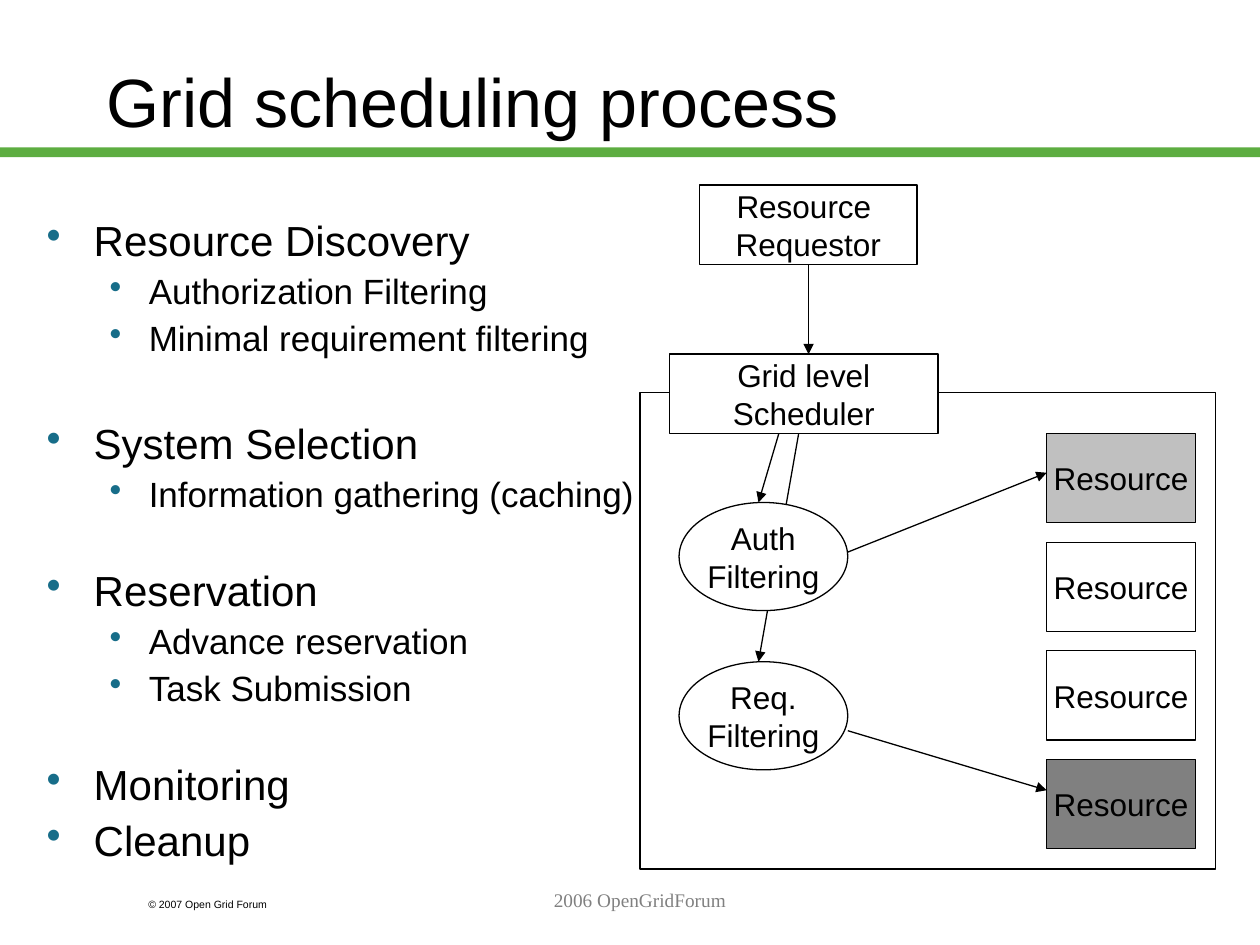
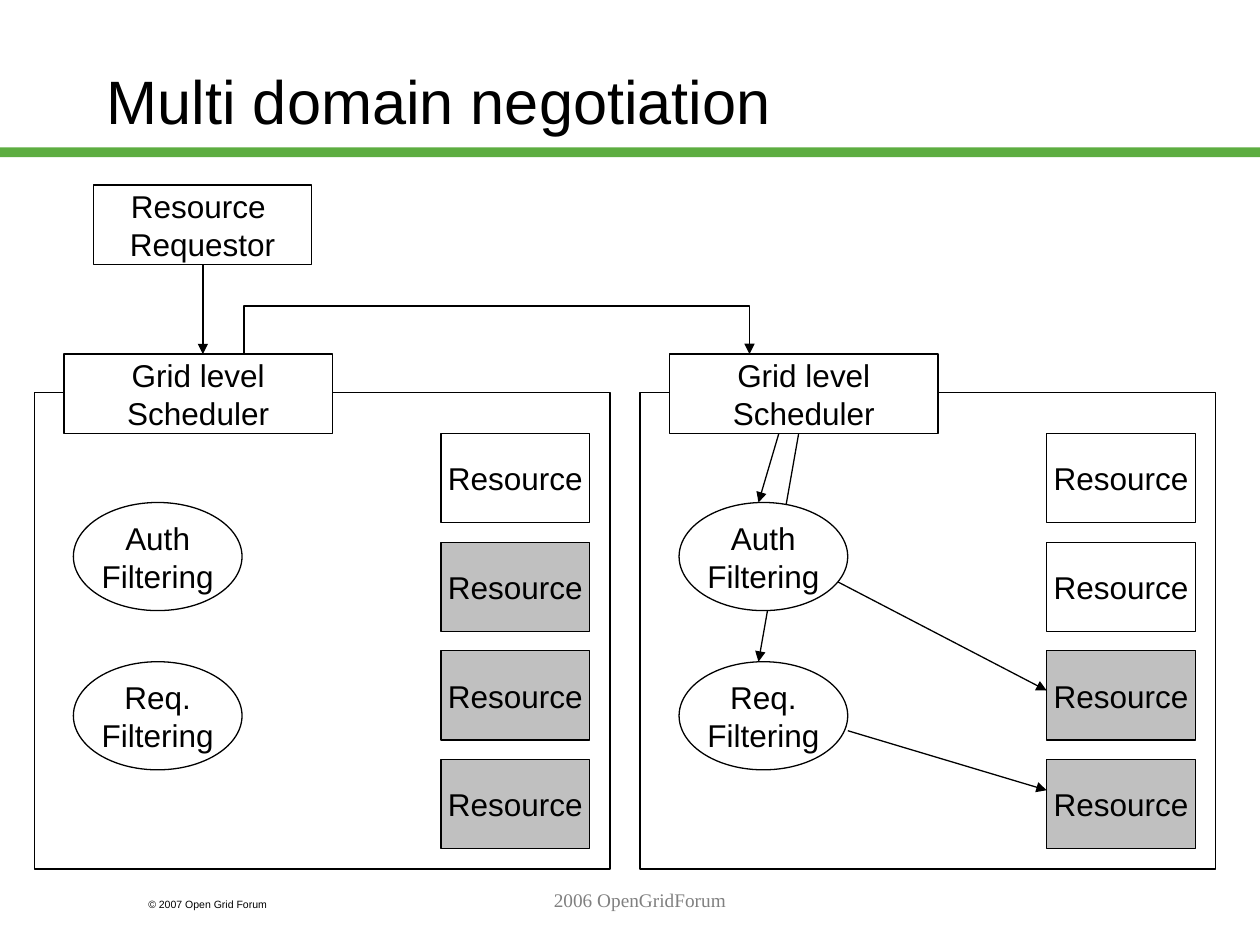
"""Builds two slides on grid scheduling and negotiation between domains."""
from lxml import etree
from pptx import Presentation
from pptx.dml.color import RGBColor
from pptx.enum.shapes import MSO_CONNECTOR, MSO_SHAPE
from pptx.enum.text import MSO_ANCHOR, PP_ALIGN
from pptx.oxml.ns import qn
from pptx.util import Cm, Pt

BLACK = RGBColor(0x00, 0x00, 0x00)
WHITE = RGBColor(0xFF, 0xFF, 0xFF)
SILVER = RGBColor(0xC0, 0xC0, 0xC0)
GRAY = RGBColor(0x80, 0x80, 0x80)
GREEN = RGBColor(0x5D, 0xAD, 0x41)
TEAL = RGBColor(0x17, 0x6D, 0x89)

RECT, OVAL = MSO_SHAPE.RECTANGLE, MSO_SHAPE.OVAL
STRAIGHT = MSO_CONNECTOR.STRAIGHT
LEFT, CENTER = PP_ALIGN.LEFT, PP_ALIGN.CENTER
TOP, MIDDLE = MSO_ANCHOR.TOP, MSO_ANCHOR.MIDDLE

LEFT_DOMAIN, RIGHT_DOMAIN = 0.69, 12.9
REQUESTOR_Y, SCHEDULER_Y, FRAME_Y = 3.73, 7.14, 7.92
BOX_H = 1.6
SCHEDULER_BOTTOM = SCHEDULER_Y + BOX_H
AUTH_Y, REQ_Y = 10.13, 13.34
RESOURCE_X, RESOURCE_PITCH = 8.2, 2.19

LEVELS = [(24, 0.95, -0.95), (20, 2.06, -0.79)]
STEPS = [
    (0, 0, "Resource Discovery"),
    (1, 5, "Authorization Filtering"),
    (1, 5, "Minimal requirement filtering"),
    (0, 36.8, "System Selection"),
    (1, 5, "Information gathering (caching)"),
    (0, 31.7, "Reservation"),
    (1, 5, "Advance reservation"),
    (1, 5, "Task Submission"),
    (0, 31.7, "Monitoring"),
    (0, 6, "Cleanup"),
]


class Deck:
    """Holds the shared style and the current slide."""

    def __init__(self):
        self.prs = Presentation()
        self.prs.slide_width, self.prs.slide_height = Cm(25.4), Cm(19.05)
        self.s = None

    def new_slide(self, title, size):
        self.s = self.prs.slides.add_slide(self.prs.slide_layouts[6])
        band = self.shape(RECT, 0, 2.97, 25.4, 0.2, fill=GREEN)
        band.line.fill.background()
        self.text("© 2007 Open Grid Forum", 2.74, 17.98, 3.81, 0.51, 6)
        self.text("2006 OpenGridForum", 5.5, 17.78, 14.8, 1.27, 11,
                  "Times New Roman", GRAY, CENTER)
        self.text(title, 1.9, 0.43, 21.6, 3.18, size, anchor=MIDDLE)

    def fill_text(self, tf, text, size, font="Arial", color=BLACK, align=LEFT):
        tf.text = text
        for p in tf.paragraphs:
            p.alignment = align
            p.font.size, p.font.name = Pt(size), font
            p.font.color.rgb = color

    def text(self, text, x, y, w, h, size, font="Arial", color=BLACK,
             align=LEFT, anchor=TOP):
        tf = self.s.shapes.add_textbox(Cm(x), Cm(y), Cm(w), Cm(h)).text_frame
        tf.word_wrap, tf.vertical_anchor = True, anchor
        self.fill_text(tf, text, size, font, color, align)
        return tf

    def bullets(self, items, x, y, w, h):
        tf = self.text("\n".join(text for *_, text in items), x, y, w, h, 24)
        for p, (level, gap, _) in zip(tf.paragraphs, items):
            size, margin, indent = LEVELS[level]
            p.level, p.line_spacing, p.space_before = level, 0.9, Pt(gap)
            p.font.size = Pt(size)
            pPr = p._p.get_or_add_pPr()
            pPr.set("marL", str(Cm(margin)))
            pPr.set("indent", str(Cm(indent)))
            color = etree.Element(qn("a:buClr"))
            etree.SubElement(color, qn("a:srgbClr"), val=str(TEAL))
            char = etree.Element(qn("a:buChar"), char="•")
            pPr.find(qn("a:defRPr")).addprevious(color)
            color.addnext(char)

    def outline(self, sp):
        sp.line.color.rgb, sp.line.width = BLACK, Pt(0.75)

    def arrowhead(self, sp):
        etree.SubElement(sp.line._get_or_add_ln(), qn("a:tailEnd"), type="triangle")

    def shape(self, kind, x, y, w, h, text="", fill=WHITE):
        sp = self.s.shapes.add_shape(kind, Cm(x), Cm(y), Cm(w), Cm(h))
        sp.shadow.inherit = False
        sp.fill.solid()
        sp.fill.fore_color.rgb = fill
        self.outline(sp)
        if text:
            tf = sp.text_frame
            tf.word_wrap, tf.vertical_anchor = False, MIDDLE
            self.fill_text(tf, text, 18, align=CENTER)
        return sp

    def arrow(self, x1, y1, x2, y2):
        sp = self.s.shapes.add_connector(STRAIGHT, Cm(x1), Cm(y1), Cm(x2), Cm(y2))
        self.outline(sp)
        self.arrowhead(sp)
        etree.SubElement(sp._element.spPr, qn("a:effectLst"))

    def path_arrow(self, points):
        start, *rest = [(Cm(x), Cm(y)) for x, y in points]
        builder = self.s.shapes.build_freeform(*start)
        builder.add_line_segments(rest, close=False)
        sp = builder.convert_to_shape()
        sp.shadow.inherit = False
        sp.fill.background()
        self.outline(sp)
        self.arrowhead(sp)

    def requestor(self, x):
        self.shape(RECT, x + 1.2, REQUESTOR_Y, 4.39, BOX_H, "Resource \nRequestor")
        self.arrow(x + 3.4, REQUESTOR_Y + BOX_H, x + 3.4, SCHEDULER_Y)

    def domain(self, x, fills, links=()):
        self.shape(RECT, x, FRAME_Y, 11.61, 9.6)
        self.shape(RECT, x + 0.6, SCHEDULER_Y, 5.41, BOX_H, "Grid level\nScheduler")
        for i, fill in enumerate(fills):
            self.shape(RECT, x + RESOURCE_X, SCHEDULER_BOTTOM + i * RESOURCE_PITCH,
                       3, 1.8, "Resource", fill)
        self.shape(OVAL, x + 0.79, REQ_Y, 3.4, 2.18, "Req.\nFiltering")
        for x1, y1, x2, y2 in links:
            self.arrow(x + x1, y1, x + x2, y2)
        self.shape(OVAL, x + 0.79, AUTH_Y, 3.4, 2.18, "Auth\nFiltering")


def main():
    deck = Deck()
    common_links = [
        (4.19, 14.73, RESOURCE_X, 15.93),
        (2.8, SCHEDULER_BOTTOM, 2.39, AUTH_Y),
        (3.2, SCHEDULER_BOTTOM, 2.39, REQ_Y),
    ]

    deck.new_slide("Grid scheduling process", 39)
    deck.bullets(STEPS, 0.69, 4.32, 12.6, 13.97)
    deck.domain(RIGHT_DOMAIN, [SILVER, WHITE, WHITE, GRAY],
                [(4.19, 11.13, RESOURCE_X, 9.53), *common_links])
    deck.requestor(RIGHT_DOMAIN)

    deck.new_slide("Multi domain negotiation", 35)
    deck.domain(LEFT_DOMAIN, [WHITE, SILVER, SILVER, SILVER])
    deck.requestor(LEFT_DOMAIN)
    deck.domain(RIGHT_DOMAIN, [WHITE, WHITE, SILVER, SILVER],
                [(3.99, 11.73, RESOURCE_X, 13.92), *common_links])
    deck.path_arrow([(4.92, 7.11), (4.92, 6.17), (15.11, 6.17), (15.11, SCHEDULER_Y)])

    deck.prs.save("out.pptx")


if __name__ == "__main__":
    main()
